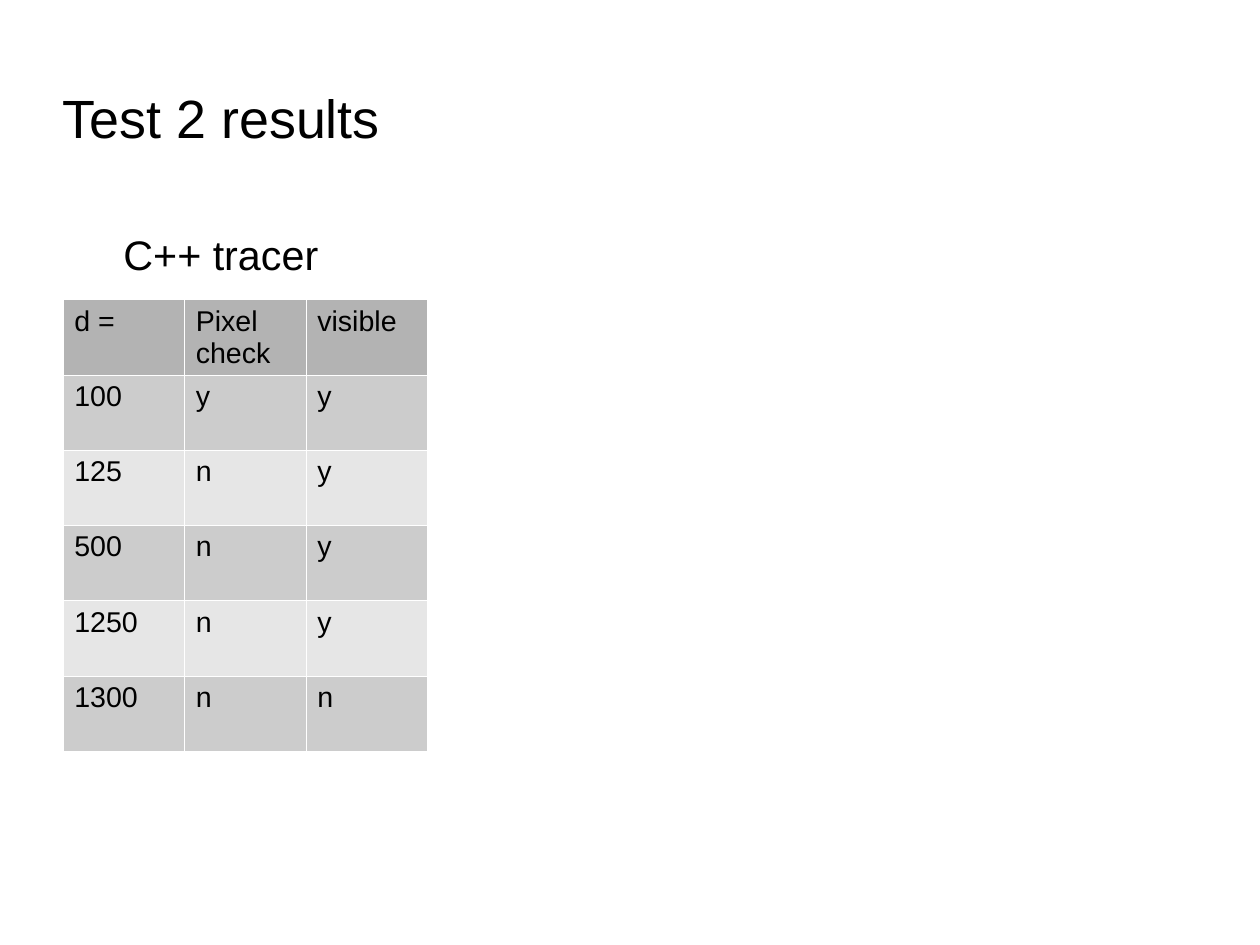
import pptx
import pptx.dml.color
import pptx.enum.text
import pptx.util
from lxml import etree
from pptx.oxml.ns import qn
from pptx.util import Inches


def style_text(text_frame, size):
    for paragraph in text_frame.paragraphs:
        for run in paragraph.runs:
            run.font.name = "Arial"
            run.font.size = pptx.util.Pt(size)
            run.font.bold = False
            run.font.color.rgb = pptx.dml.color.RGBColor.from_string("000000")


def style_cell(cell, fill, border):
    properties = cell._tc.get_or_add_tcPr()
    for side in ("lnL", "lnR", "lnT", "lnB"):
        line = etree.SubElement(properties, qn(f"a:{side}"), w="720")
        line_fill = etree.SubElement(line, qn("a:solidFill"))
        etree.SubElement(line_fill, qn("a:srgbClr"), val=border)
    cell.fill.solid()
    cell.fill.fore_color.rgb = pptx.dml.color.RGBColor.from_string(fill)


# Slide of 28 by 21 centimetres
presentation = pptx.Presentation()
presentation.slide_width = Inches(28 / 2.54)
presentation.slide_height = Inches(21 / 2.54)
slide = presentation.slides.add_slide(presentation.slide_layouts[6])

# Title and table heading
headings = [
    ("Test 2 results", 0.55, 0.63, 7.87, 0.79, 33.9, "MIDDLE"),
    ("C++ tracer", 1.08, 2.01, 2.72, 0.49, 26, "TOP"),
]
for text, left, top, width, height, size, anchor in headings:
    shape = slide.shapes.add_textbox(
        Inches(left), Inches(top), Inches(width), Inches(height))
    text_frame = shape.text_frame
    text_frame.word_wrap = True
    text_frame.margin_left = text_frame.margin_right = 0
    text_frame.margin_top = text_frame.margin_bottom = 0
    text_frame.vertical_anchor = pptx.enum.text.MSO_ANCHOR[anchor]
    text_frame.text = text
    style_text(text_frame, size)

# Results table: grey header, then two alternating greys
results = [
    ("d =", "Pixel check", "visible"),
    ("100", "y", "y"),
    ("125", "n", "y"),
    ("500", "n", "y"),
    ("1250", "n", "y"),
    ("1300", "n", "n"),
]
table = slide.shapes.add_table(
    len(results), 3, Inches(0.55), Inches(2.62), Inches(3.19), Inches(3.95)).table
for row_index, values in enumerate(results):
    if row_index == 0:
        fill = "B3B3B3"
    else:
        fill = "CCCCCC" if row_index % 2 else "E6E6E6"
    for column_index, value in enumerate(values):
        cell = table.cell(row_index, column_index)
        cell.margin_left = cell.margin_right = Inches(0.1)
        cell.margin_top = Inches(0.05)
        cell.margin_bottom = Inches(0.05 if row_index else 0)
        cell.text_frame.text = value
        style_text(cell.text_frame, 18)
        style_cell(cell, fill, "FFFFFF")

presentation.save("out.pptx")
